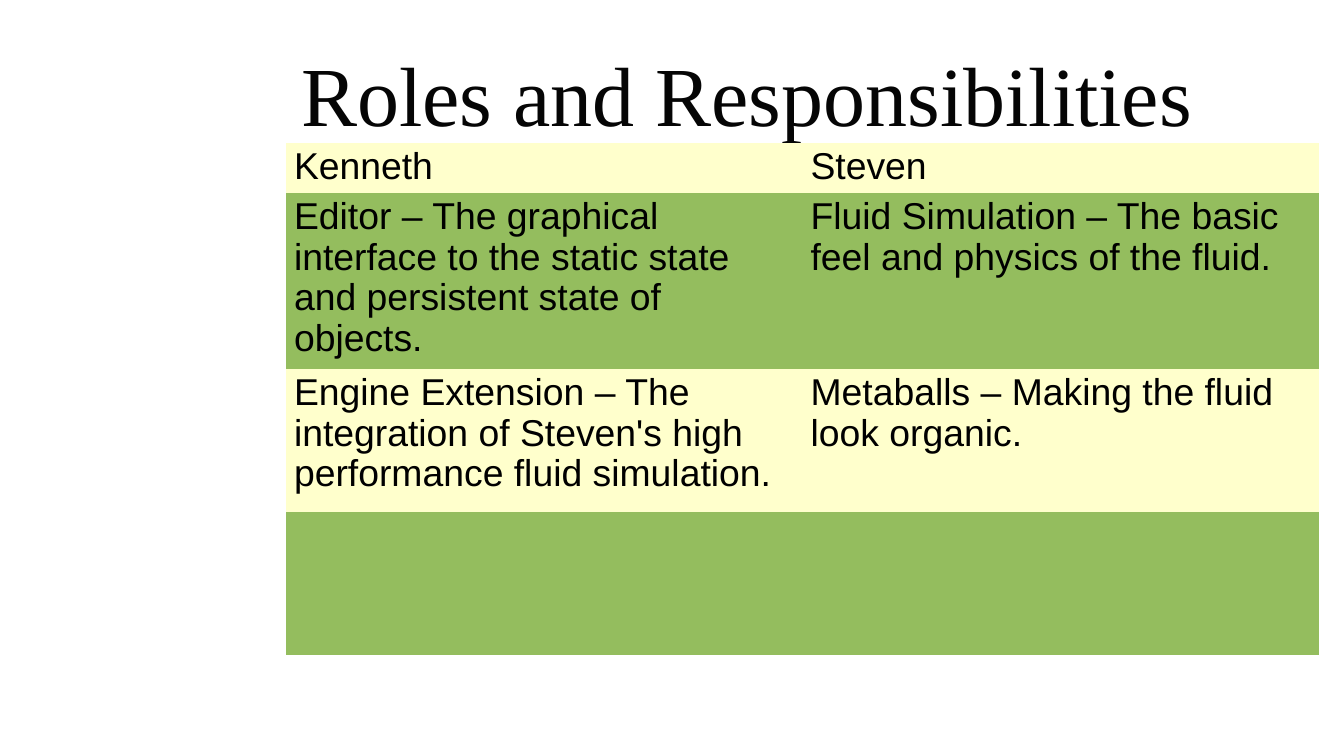
import pptx
import pptx.dml.color
import pptx.enum.text
import pptx.oxml.ns
import pptx.util

Pt = pptx.util.Pt
RGBColor = pptx.dml.color.RGBColor

TITLE_INK = RGBColor(0x05, 0x05, 0x05)
CELL_INK = RGBColor(0x00, 0x00, 0x00)
ROW_FILLS = (RGBColor(0xFF, 0xFF, 0xCC), RGBColor(0x94, 0xBD, 0x5E))
NO_STYLE_NO_GRID = "{2D5ABB26-0587-4C30-8999-92F81FD0307C}"

ROLES = (
    ("Kenneth", "Steven"),
    ("Editor – The graphical interface to the static state and persistent state of objects.",
     "Fluid Simulation – The basic feel and physics of the fluid."),
    ("Engine Extension – The integration of Steven's high performance fluid simulation.",
     "Metaballs – Making the fluid look organic."),
    ("", ""),
)
ROW_HEIGHTS = (43, 151, 122.4, 122.4)
COLUMN_WIDTH = 442.8


def format_paragraph(paragraph, font_name, size, color):
    paragraph.font.name = font_name
    paragraph.font.size = Pt(size)
    paragraph.font.color.rgb = color


def set_title(slide, text):
    title = slide.shapes.title
    title.left, title.top, title.width, title.height = Pt(187.2), Pt(25.92), Pt(906.48), Pt(108)
    frame = title.text_frame
    frame.text = text
    frame.margin_left = frame.margin_right = frame.margin_top = frame.margin_bottom = 0
    frame.vertical_anchor = pptx.enum.text.MSO_ANCHOR.MIDDLE
    heading = frame.paragraphs[0]
    heading.alignment = pptx.enum.text.PP_ALIGN.CENTER
    format_paragraph(heading, "Times New Roman", 72, TITLE_INK)


def fill_cell(cell, text, color):
    cell.fill.solid()
    cell.fill.fore_color.rgb = color
    if text:
        cell.text = text
        paragraph = cell.text_frame.paragraphs[0]
        paragraph.line_spacing = 0.97
        format_paragraph(paragraph, "Arial", 32, CELL_INK)


def add_roles_table(slide):
    columns = len(ROLES[0])
    frame = slide.shapes.add_table(
        len(ROLES), columns, Pt(244.8), Pt(122.4),
        Pt(COLUMN_WIDTH * columns), Pt(sum(ROW_HEIGHTS)))
    roles = frame.table
    roles.first_row = roles.horz_banding = False
    style_id = frame._element.find(".//" + pptx.oxml.ns.qn("a:tableStyleId"))
    style_id.text = NO_STYLE_NO_GRID
    for column in roles.columns:
        column.width = Pt(COLUMN_WIDTH)
    for index, (row, height, texts) in enumerate(zip(roles.rows, ROW_HEIGHTS, ROLES)):
        row.height = Pt(height)
        for cell, text in zip(row.cells, texts):
            fill_cell(cell, text, ROW_FILLS[index % 2])


def main():
    deck = pptx.Presentation()
    deck.slide_width, deck.slide_height = Pt(1152), Pt(648)
    slide = deck.slides.add_slide(deck.slide_layouts[5])
    set_title(slide, "Roles and Responsibilities")
    add_roles_table(slide)
    deck.save("out.pptx")


if __name__ == "__main__":
    main()
